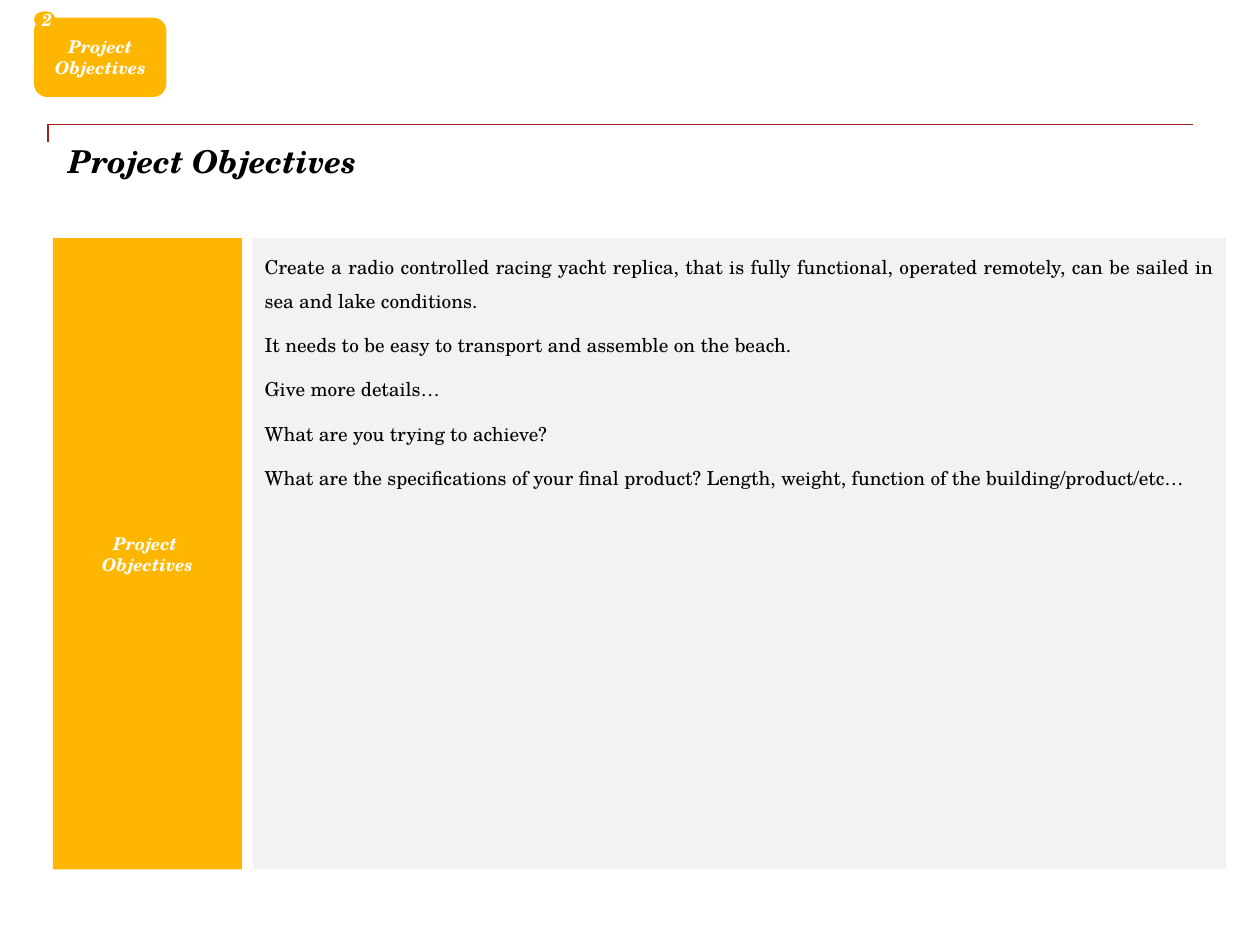
from lxml import etree
from pptx import Presentation
from pptx.dml.color import RGBColor
from pptx.enum.shapes import MSO_CONNECTOR, MSO_SHAPE
from pptx.enum.text import MSO_ANCHOR, PP_ALIGN
from pptx.oxml.ns import qn
from pptx.util import Inches, Pt

RECT, ROUND, OVAL = MSO_SHAPE.RECTANGLE, MSO_SHAPE.ROUNDED_RECTANGLE, MSO_SHAPE.OVAL
ELBOW = MSO_CONNECTOR.ELBOW
TOP, MIDDLE = MSO_ANCHOR.TOP, MSO_ANCHOR.MIDDLE
LEFT, CENTER, JUSTIFY = PP_ALIGN.LEFT, PP_ALIGN.CENTER, PP_ALIGN.JUSTIFY

FONT = "TeX Gyre Schola"
GOLD, GREY, RED, WHITE, BLACK = "FFB600", "F2F2F2", "A32020", "FFFFFF", "000000"
GOALS = [
    "Create a radio controlled racing yacht replica, that is fully functional, "
    "operated remotely, can be sailed in sea and lake conditions. ",
    "It needs to be easy to transport and assemble on the beach. ",
    "Give more details… ",
    "What are you trying to achieve?",
    "What are the specifications of your final product? Length, weight, "
    "function of the building/product/etc… ",
]


def color(code):
    return RGBColor.from_string(code)


def write(shape, lines, size, ink, align, anchor, inset, strong=True):
    frame = shape.text_frame
    frame.word_wrap = True
    frame.vertical_anchor = anchor
    frame.margin_left = frame.margin_right = Inches(inset[0])
    frame.margin_top = frame.margin_bottom = Inches(inset[1])
    frame.text = "\n".join(lines)
    for para in frame.paragraphs:
        para.alignment = align
        font = para.font
        font.name, font.size = FONT, Pt(size)
        font.bold = font.italic = strong
        font.color.rgb = color(ink)
    return frame


def block(slide, kind, x, y, w, h, fill):
    shape = slide.shapes.add_shape(kind, Inches(x), Inches(y), Inches(w), Inches(h))
    shape.shadow.inherit = False
    shape.fill.solid()
    shape.fill.fore_color.rgb = color(fill)
    shape.line.fill.background()
    return shape


def label(slide, kind, x, y, w, h, lines):
    """Gold shape with centred white text."""
    shape = block(slide, kind, x, y, w, h, GOLD)
    write(shape, lines, 10, WHITE, CENTER, MIDDLE, (0.08, 0.04))


def header(slide, x, y, w, h):
    """Bent rule along the top left of the box, with the title below it."""
    drop = 0.14
    rule = slide.shapes.add_connector(
        ELBOW, Inches(x), Inches(y + drop), Inches(x + w), Inches(y))
    rule.line.color.rgb = color(RED)
    rule.line.width = Pt(0.75)
    props = rule._element.spPr
    etree.SubElement(props, qn("a:effectLst"))
    bend = etree.SubElement(props.find(".//" + qn("a:avLst")), qn("a:gd"))
    bend.set("name", "adj1")
    bend.set("fmla", "val 0")
    title = slide.shapes.add_textbox(
        Inches(x + 0.16), Inches(y + drop), Inches(w - 0.14), Inches(h - drop))
    write(title, ["Project Objectives"], 18, BLACK, LEFT, TOP, (0, 0))


def panel(slide, x, y, w, h):
    """Gold label column beside the grey list of goals."""
    side, gap = 1.5, 0.09
    label(slide, RECT, x, y, side, h, ["Project ", "Objectives"])
    start = side + gap
    body = block(slide, RECT, x + start, y, w - start, h, GREY)
    frame = write(body, GOALS, 11, BLACK, JUSTIFY, TOP, (0.09, 0.04), False)
    for para in frame.paragraphs:
        para.line_spacing = 1.5
        para.space_before = Pt(5.4)


def badge(slide, x, y, w, h):
    """Section tab with its number on the top left corner."""
    rise = 0.05
    label(slide, ROUND, x, y + rise, w, h - rise, ["Project Objectives"])
    label(slide, OVAL, x, y, 0.17, 0.13, ["2"])


def main():
    deck = Presentation()
    deck.slide_width, deck.slide_height = Inches(10), Inches(7.5)
    slide = deck.slides.add_slide(deck.slide_layouts[6])
    header(slide, 0.38, 0.99, 9.09, 1.02)
    panel(slide, 0.42, 1.89, 9.31, 5.01)
    badge(slide, 0.27, 0.09, 1.05, 0.68)
    deck.save("out.pptx")


if __name__ == "__main__":
    main()
